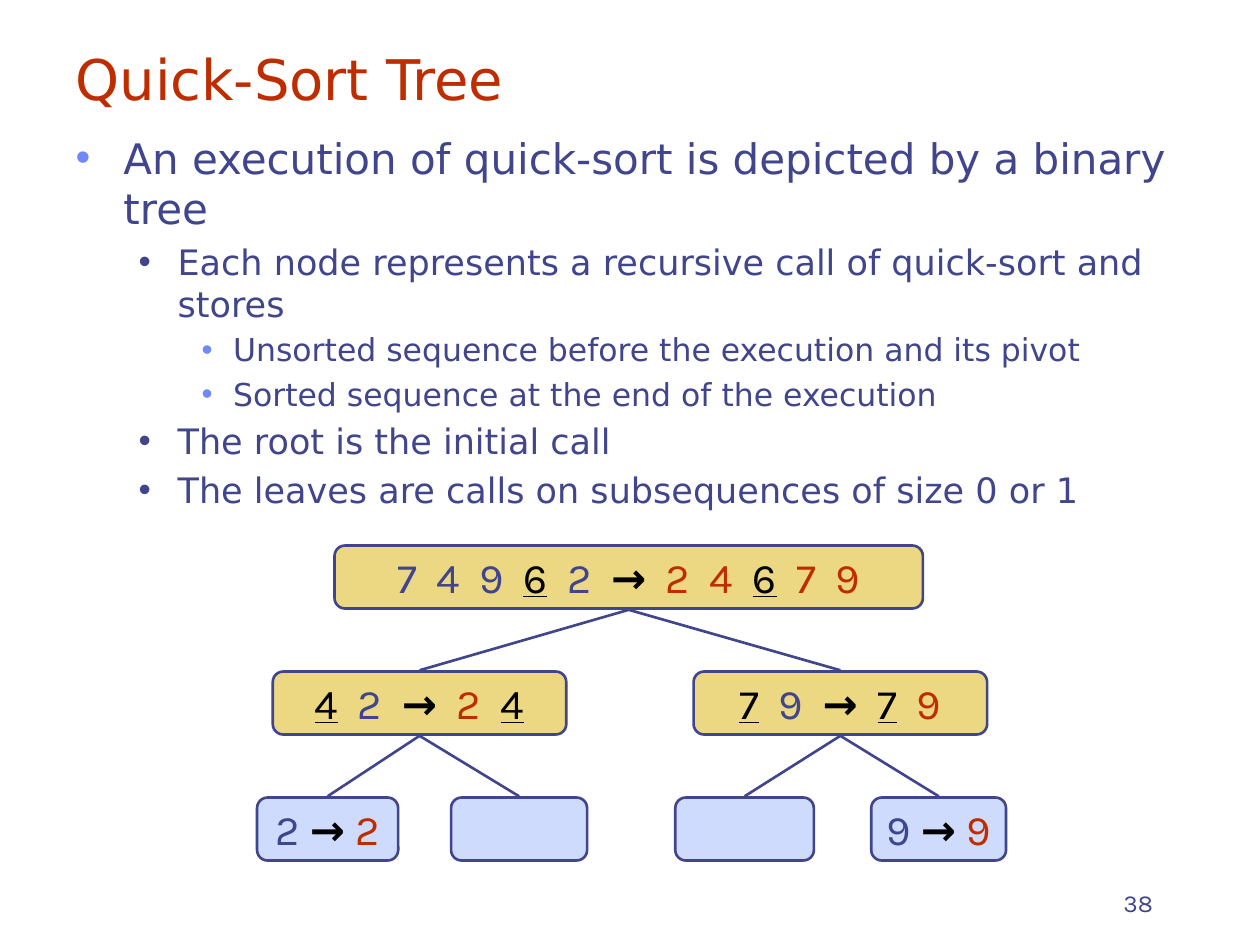
from dataclasses import dataclass
from typing import Optional

from lxml import etree
from pptx import Presentation
from pptx.dml.color import RGBColor
from pptx.enum.shapes import MSO_CONNECTOR, MSO_SHAPE
from pptx.enum.text import MSO_ANCHOR, MSO_AUTO_SIZE, PP_ALIGN
from pptx.oxml.ns import qn
from pptx.util import Inches, Pt

ROUNDED = MSO_SHAPE.ROUNDED_RECTANGLE
STRAIGHT = MSO_CONNECTOR.STRAIGHT
MIDDLE, TOP, BOTTOM = MSO_ANCHOR.MIDDLE, MSO_ANCHOR.TOP, MSO_ANCHOR.BOTTOM
LEFT, CENTER, RIGHT = PP_ALIGN.LEFT, PP_ALIGN.CENTER, PP_ALIGN.RIGHT
NO_AUTOFIT = MSO_AUTO_SIZE.NONE

SLIDE_W, SLIDE_H = Inches(10), Inches(7.5)
COLUMN, ROW = SLIDE_W / 10, SLIDE_H / 7.5
TREE_TOP, NODE_ROWS, EDGE_GAP = 4.33, 0.5, 0.01
TEXT_FONT, NODE_FONT = "DejaVu Sans", "Karla"
INK, RED, BLACK, BULLET_BLUE = "40458C", "BE2D00", "000000", "6F89F7"
GOLD, PALE_BLUE = "ECD882", "CFDBFD"
WIDE_GAP = 550


@dataclass(frozen=True)
class Level:
    indent: float
    hanging: float
    size: int
    bullet: str


@dataclass(frozen=True)
class Node:
    center: float
    width: float
    depth: int
    parent: Optional[int] = None
    before: str = ""
    after: str = ""
    pivot: str = ""


LEVELS = [
    Level(0.38, 0.38, 24, BULLET_BLUE),
    Level(0.81, 0.31, 20, INK),
    Level(1.25, 0.25, 18, BULLET_BLUE),
]
POINTS = [
    (0, "An execution of quick-sort is depicted by a binary tree"),
    (1, "Each node represents a recursive call of quick-sort and stores"),
    (2, "Unsorted sequence before the execution and its pivot"),
    (2, "Sorted sequence at the end of the execution"),
    (1, "The root is the initial call"),
    (1, "The leaves are calls on subsequences of size 0 or 1"),
]
TREE = [
    Node(4.99, 4.67, 0, None, "74962", "24679", "6"),
    Node(3.33, 2.33, 1, 0, "42", "24", "4"),
    Node(6.67, 2.33, 1, 0, "79", "79", "7"),
    Node(2.6, 1.12, 2, 1, "2", "2"),
    Node(4.12, 1.08, 2, 1),
    Node(5.91, 1.1, 2, 2),
    Node(7.45, 1.07, 2, 2, "9", "9"),
]


def rgb(color: str) -> RGBColor:
    return RGBColor.from_string(color)


def columns(count: float) -> int:
    return round(count * COLUMN)


def rows(count: float) -> int:
    return round(count * ROW)


def set_font(font, name: str, size: int, color: Optional[str] = None) -> None:
    font.name, font.size = name, Pt(size)
    if color:
        font.color.rgb = rgb(color)


def place(shape, left: float, top: float, width: float, height: float, anchor) -> None:
    shape.left, shape.top = columns(left), rows(top)
    shape.width, shape.height = columns(width), rows(height)
    frame = shape.text_frame
    frame.word_wrap, frame.auto_size = True, NO_AUTOFIT
    frame.vertical_anchor = anchor


def add_bullet(paragraph, level: Level) -> None:
    properties = paragraph._p.get_or_add_pPr()
    properties.set("marL", str(Inches(level.indent)))
    properties.set("indent", str(-Inches(level.hanging)))
    color = etree.SubElement(properties, qn("a:buClr"))
    etree.SubElement(color, qn("a:srgbClr"), val=level.bullet)
    etree.SubElement(properties, qn("a:buChar"), char="•")


def fill_title(title) -> None:
    place(title, 0.5, 0.33, 8.67, 0.58, MIDDLE)
    heading = title.text_frame.paragraphs[0]
    heading.text, heading.alignment = "Quick-Sort Tree", LEFT
    set_font(heading.font, TEXT_FONT, 32, RED)


def fill_body(body) -> None:
    place(body, 0.5, 1, 9, 3.25, TOP)
    frame = body.text_frame
    for index, (depth, wording) in enumerate(POINTS):
        point = frame.add_paragraph() if index else frame.paragraphs[0]
        point.text, point.level = wording, depth
        add_bullet(point, LEVELS[depth])
        set_font(point.font, TEXT_FONT, LEVELS[depth].size, INK)
    frame.paragraphs[0].space_before = Pt(0)


def write_sequences(paragraph, node: Node) -> None:
    paragraph.alignment = CENTER
    set_font(paragraph.font, NODE_FONT, 24)
    symbols = [(digit, INK) for digit in node.before]
    symbols += [("→", BLACK)]
    symbols += [(digit, RED) for digit in node.after]
    for index, (symbol, color) in enumerate(symbols):
        if index:
            gap = paragraph.add_run()
            gap.text = " "
            set_font(gap.font, NODE_FONT, 24)
            if node.pivot:
                gap._r.get_or_add_rPr().set("spc", str(WIDE_GAP))
        run = paragraph.add_run()
        run.text = symbol
        is_pivot = symbol == node.pivot
        set_font(run.font, NODE_FONT, 24, BLACK if is_pivot else color)
        if is_pivot:
            run.font.underline = True
        if symbol == "→":
            run.font.bold = True


def draw_node(slide, node: Node) -> None:
    box = slide.shapes.add_shape(
        ROUNDED, columns(node.center - node.width / 2), rows(TREE_TOP + node.depth),
        columns(node.width), rows(NODE_ROWS))
    box.shadow.inherit = False
    box.adjustments[0] = 0.167
    box.fill.solid()
    box.fill.fore_color.rgb = rgb(PALE_BLUE if node.depth == 2 else GOLD)
    box.line.color.rgb, box.line.width = rgb(INK), Pt(1.5)
    if node.before:
        box.text_frame.word_wrap = False
        box.text_frame.vertical_anchor = MIDDLE
        write_sequences(box.text_frame.paragraphs[0], node)


def draw_edge(slide, parent: Node, child: Node) -> None:
    edge = slide.shapes.add_connector(
        STRAIGHT,
        columns(parent.center), rows(TREE_TOP + parent.depth + NODE_ROWS + EDGE_GAP),
        columns(child.center), rows(TREE_TOP + child.depth - EDGE_GAP))
    edge.line.color.rgb, edge.line.width = rgb(INK), Pt(1.5)
    etree.SubElement(edge._element.spPr, qn("a:effectLst"))


def add_page_number(slide) -> None:
    box = slide.shapes.add_textbox(0, 0, 0, 0)
    place(box, 7.17, 6.83, 2.08, 0.5, BOTTOM)
    number = box.text_frame.paragraphs[0]
    number.text, number.alignment = "38", RIGHT
    set_font(number.font, NODE_FONT, 14, INK)


def main() -> None:
    deck = Presentation()
    deck.slide_width, deck.slide_height = SLIDE_W, SLIDE_H
    slide = deck.slides.add_slide(deck.slide_layouts[1])
    fill_title(slide.shapes.title)
    fill_body(slide.placeholders[1])
    add_page_number(slide)
    for node in TREE:
        draw_node(slide, node)
    for node in TREE:
        if node.parent is not None:
            draw_edge(slide, TREE[node.parent], node)
    deck.save("out.pptx")


if __name__ == "__main__":
    main()
